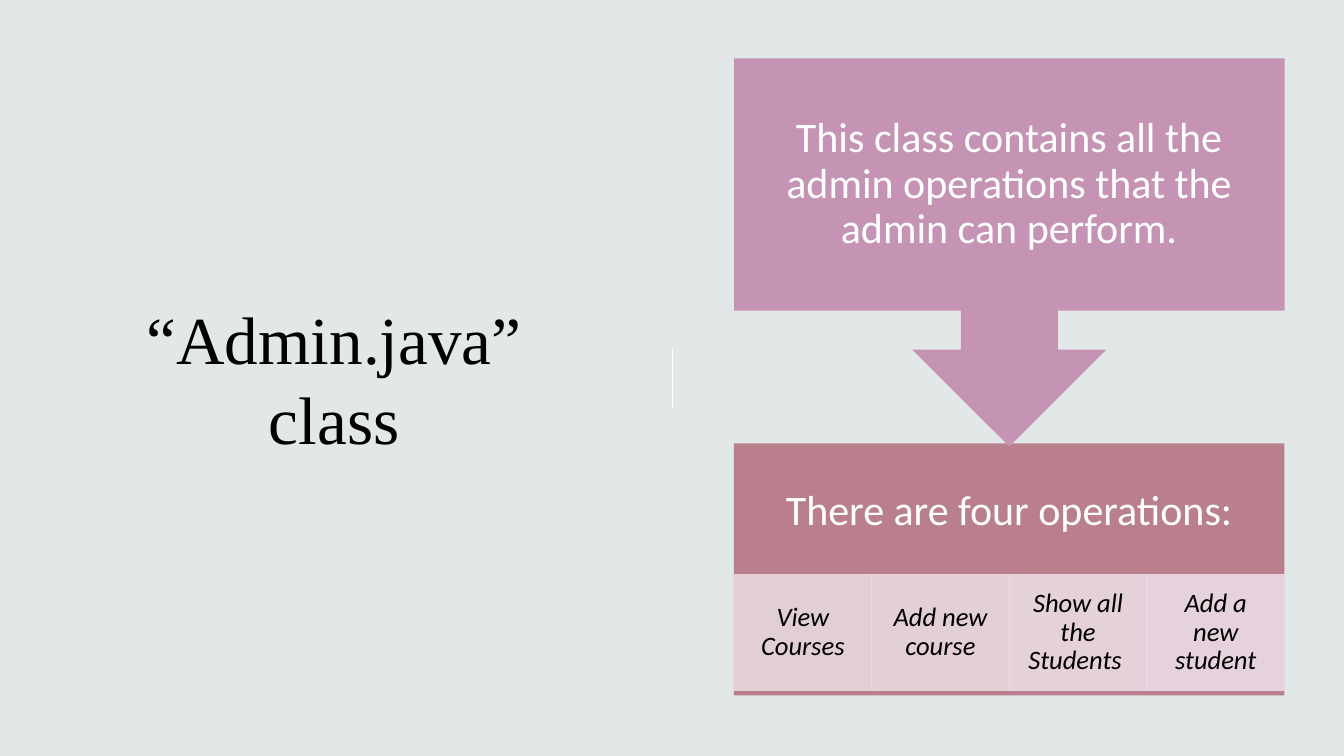
from dataclasses import dataclass

from lxml.etree import SubElement
from pptx import Presentation
from pptx.dml.color import RGBColor
from pptx.enum.shapes import MSO_CONNECTOR as CONNECTOR, MSO_SHAPE as SHAPE
from pptx.enum.text import MSO_ANCHOR as ANCHOR, PP_ALIGN as ALIGN
from pptx.oxml.ns import qn
from pptx.util import Inches, Pt


@dataclass(frozen=True)
class Theme:
    background: str = "E2E7E8"
    light: str = "FFFFFF"
    dark: str = "000000"
    callout: str = "C593B4"
    panel: str = "BA7F8D"
    cells: tuple = ("E7D8DB", "E8D9DE", "E9DBE2", "EADCE5")
    cell_opacity: int = 90
    title_font: str = "Times New Roman"
    body_font: str = "Calibri"
    title_size: int = 48
    heading_size: int = 30
    cell_size: int = 19


THEME = Theme()
OPERATIONS = ("View Courses", "Add new course", "Show all the Students ", "Add a new student")

# Diagram geometry in inches
DIAGRAM_LEFT, DIAGRAM_WIDTH = 7.28, 5.46
CALLOUT_TOP, CALLOUT_HEIGHT = 0.58, 3.85
PANEL_TOP, BLOCK_HEIGHT = 4.4, 2.5
HEADING_HEIGHT = 1.35
CELL_TOP, CELL_HEIGHT = 5.7, 1.15


def color(value):
    return RGBColor.from_string(value)


def write_text(shape, text, font, size, text_color, italic=None, spacing=None):
    """Put one centred run into a shape or placeholder."""
    frame = shape.text_frame
    frame.word_wrap = True
    frame.vertical_anchor = ANCHOR.MIDDLE
    paragraph = frame.paragraphs[0]
    paragraph.alignment = ALIGN.CENTER
    paragraph.line_spacing = spacing
    run = paragraph.add_run()
    run.text = text
    run.font.name = font
    run.font.size = Pt(size)
    run.font.italic = italic
    run.font.color.rgb = color(text_color)


def set_margins(shape, horizontal, vertical):
    frame = shape.text_frame
    frame.margin_left = frame.margin_right = Inches(horizontal)
    frame.margin_top = frame.margin_bottom = Inches(vertical)


def set_opacity(shape, percent):
    """Apply the same opacity to the fill and the outline."""
    for solid in shape._element.spPr.iter(qn("a:solidFill")):
        SubElement(solid[0], qn("a:alpha"), val=str(percent * 1000))


def add_block(group, kind, left, top, width, height, fill):
    shape = group.shapes.add_shape(
        kind, Inches(left), Inches(top), Inches(width), Inches(height))
    shape.shadow.inherit = False
    shape.fill.solid()
    shape.fill.fore_color.rgb = color(fill)
    shape.line.fill.background()
    return shape


def add_heading(group, text, top, height):
    box = group.shapes.add_textbox(
        Inches(DIAGRAM_LEFT), Inches(top), Inches(DIAGRAM_WIDTH), Inches(height))
    set_margins(box, 0.23, 0.23)
    write_text(box, text, THEME.body_font, THEME.heading_size, THEME.light, spacing=0.9)


def add_operation(group, index, text):
    width = DIAGRAM_WIDTH / len(OPERATIONS)
    fill = THEME.cells[index]
    cell = add_block(group, SHAPE.RECTANGLE, DIAGRAM_LEFT + index * width,
                     CELL_TOP, width, CELL_HEIGHT, fill)
    cell.line.color.rgb = color(fill)
    cell.line.width = Pt(0.75)
    set_opacity(cell, THEME.cell_opacity)
    set_margins(cell, 0.15, 0.03)
    write_text(cell, text, THEME.body_font, THEME.cell_size, THEME.dark,
               italic=True, spacing=0.9)


def add_title(slide, text):
    title = slide.shapes.title
    title.left, title.top = Inches(1.18), Inches(1.18)
    title.width, title.height = Inches(4.27), Inches(5.13)
    write_text(title, text, THEME.title_font, THEME.title_size, THEME.dark)


def add_divider(slide):
    divider = slide.shapes.add_connector(
        CONNECTOR.STRAIGHT, Inches(6.67), Inches(3.45), Inches(6.67), Inches(4.05))
    divider.line.color.rgb = color(THEME.light)
    divider.line.width = Pt(1)
    SubElement(divider._element.spPr, qn("a:effectLst"))


def add_diagram(slide):
    group = slide.shapes.add_group_shape()

    # Lower panel with its row of operations
    add_block(group, SHAPE.RECTANGLE, DIAGRAM_LEFT, PANEL_TOP,
              DIAGRAM_WIDTH, BLOCK_HEIGHT, THEME.panel)
    add_heading(group, "There are four operations:", PANEL_TOP, HEADING_HEIGHT)
    for index, text in enumerate(OPERATIONS):
        add_operation(group, index, text)

    # Upper callout pointing down; its text box stays upright
    callout = add_block(group, SHAPE.UP_ARROW_CALLOUT, DIAGRAM_LEFT, CALLOUT_TOP,
                        DIAGRAM_WIDTH, CALLOUT_HEIGHT, THEME.callout)
    callout.rotation = 180
    add_heading(group,
                "This class contains all the admin operations that the admin can perform.",
                CALLOUT_TOP, BLOCK_HEIGHT)


def main():
    presentation = Presentation()
    presentation.slide_width = Inches(13.33)
    presentation.slide_height = Inches(7.5)
    slide = presentation.slides.add_slide(presentation.slide_layouts[0])
    slide.background.fill.solid()
    slide.background.fill.fore_color.rgb = color(THEME.background)

    # The subtitle placeholder is not needed
    subtitle = slide.placeholders[1]._element
    subtitle.getparent().remove(subtitle)

    add_title(slide, "“Admin.java” class")
    add_divider(slide)
    add_diagram(slide)
    presentation.save("out.pptx")


if __name__ == "__main__":
    main()
